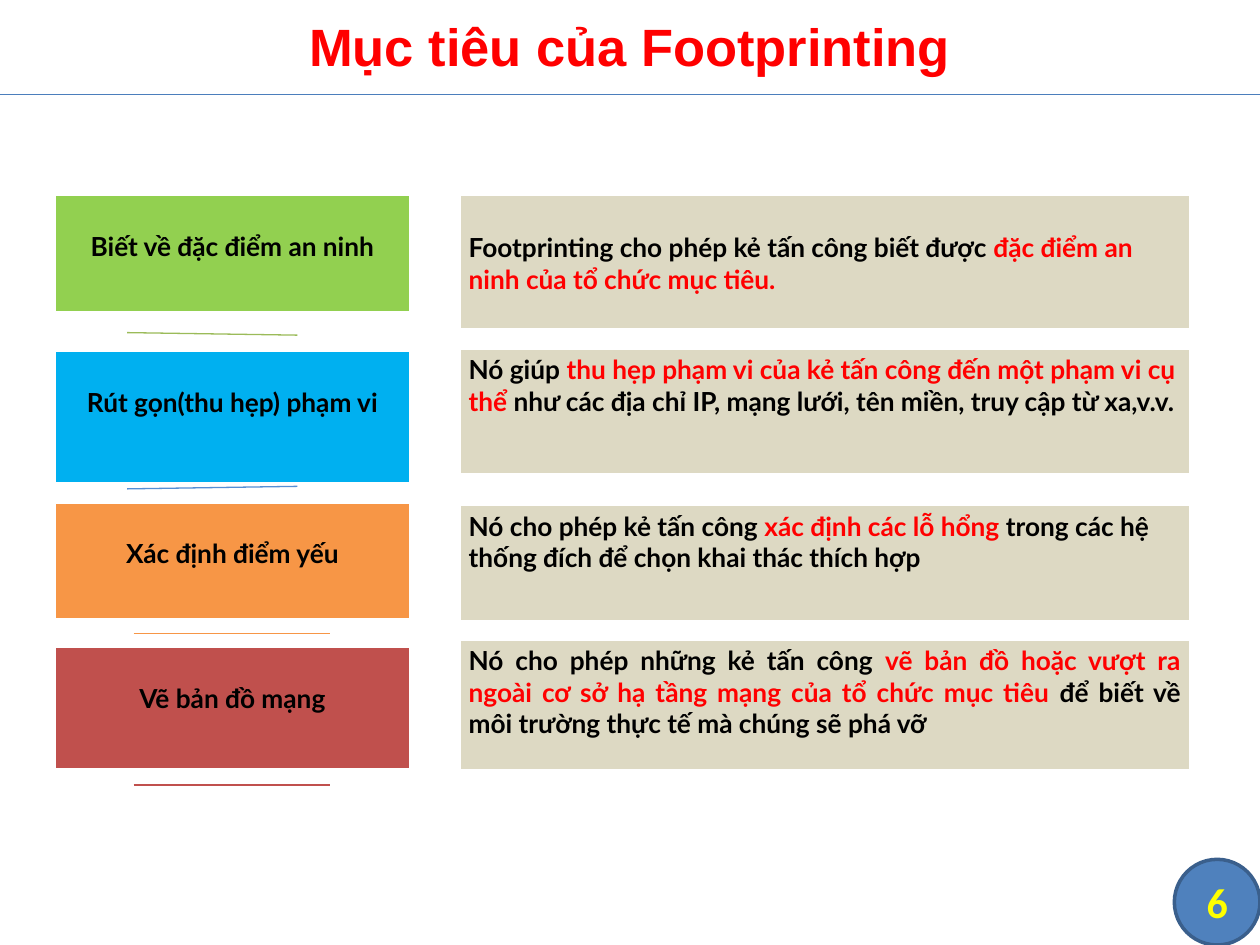
from dataclasses import dataclass

from lxml.etree import SubElement
from pptx import Presentation
from pptx.dml.color import RGBColor
from pptx.enum.shapes import MSO_CONNECTOR, MSO_SHAPE
from pptx.enum.text import MSO_ANCHOR, PP_ALIGN
from pptx.oxml import parse_xml
from pptx.oxml.ns import nsdecls, qn
from pptx.util import Inches, Pt


@dataclass(frozen=True)
class Theme:
    """Colours, fonts and type sizes of the deck."""
    ink: str = "000000"
    accent: str = "FF0000"
    panel: str = "DDD9C3"
    edge: str = "FFFFFF"
    rule: str = "4B7EBC"
    badge: str = "4F81BD"
    badge_edge: str = "3A5F8C"
    badge_ink: str = "FFFF00"
    title_font: str = "Arial"
    body_font: str = "Lato"
    badge_font: str = "Calibri"
    title_size: int = 30
    body_size: int = 15
    badge_size: int = 24


class GoalSlide:
    """Draws elements on a grid of 100 columns by 75 rows."""

    def __init__(self, deck, theme):
        """Add a blank slide to the deck."""
        self.theme = theme
        self.column = deck.slide_width / 100
        self.row = deck.slide_height / 75
        self.shapes = deck.slides.add_slide(deck.slide_layouts[6]).shapes

    def place(self, left, top, width, height):
        """Turn grid units into slide lengths."""
        return (round(left * self.column), round(top * self.row),
                round(width * self.column), round(height * self.row))

    def set_text(self, paragraph, runs, font, size, align):
        """Fill a paragraph with (text, colour) runs."""
        paragraph.alignment = align
        paragraph.font.name = font
        paragraph.font.size = Pt(size)
        paragraph.font.bold = True
        for text, colour in runs:
            run = paragraph.add_run()
            run.text = text
            run.font.color.rgb = RGBColor.from_string(colour)

    def title(self, text):
        """Add the heading across the top."""
        frame = self.shapes.add_textbox(*self.place(0, -0.3, 100, 7.8)).text_frame
        frame.word_wrap = True
        frame.vertical_anchor = MSO_ANCHOR.MIDDLE
        self.set_text(frame.paragraphs[0], [(text, self.theme.accent)],
                      self.theme.title_font, self.theme.title_size, PP_ALIGN.CENTER)

    def badge(self, number):
        """Add the round page number in the corner."""
        circle = self.shapes.add_shape(MSO_SHAPE.FLOWCHART_CONNECTOR,
                                       *self.place(93.2, 68.2, 6.8, 6.8))
        circle.shadow.inherit = False
        circle.fill.solid()
        circle.fill.fore_color.rgb = RGBColor.from_string(self.theme.badge)
        circle.line.color.rgb = RGBColor.from_string(self.theme.badge_edge)
        circle.line.width = Pt(2)
        frame = circle.text_frame
        frame.margin_left = frame.margin_right = frame.margin_top = frame.margin_bottom = 0
        frame.vertical_anchor = MSO_ANCHOR.MIDDLE
        self.set_text(frame.paragraphs[0], [(number, self.theme.badge_ink)],
                      self.theme.badge_font, self.theme.badge_size, PP_ALIGN.CENTER)

    def rule(self, start, end, colour):
        """Add a thin straight line between two grid points."""
        line = self.shapes.add_connector(MSO_CONNECTOR.STRAIGHT, *self.place(*start, *end))
        line.line.color.rgb = RGBColor.from_string(colour)
        line.line.width = Pt(0.75)
        SubElement(line._element.spPr, qn("a:effectLst"))

    def panel(self, box, fill, runs, align, drop=0.04):
        """Add a one-cell table whose text starts drop inches down."""
        table = self.shapes.add_table(1, 1, *self.place(*box)).table
        table.first_row = table.horz_banding = False
        cell = table.cell(0, 0)
        cell.margin_left = cell.margin_right = Inches(0.07)
        cell.margin_top, cell.margin_bottom = Inches(drop), Inches(0.04)
        properties = cell._tc.get_or_add_tcPr()
        for side, points in (("L", 1), ("R", 1), ("T", 1), ("B", 3)):
            properties.append(parse_xml(
                f'<a:ln{side} {nsdecls("a")} w="{Pt(points)}"><a:solidFill>'
                f'<a:srgbClr val="{self.theme.edge}"/></a:solidFill></a:ln{side}>'))
        cell.fill.solid()
        cell.fill.fore_color.rgb = RGBColor.from_string(fill)
        self.set_text(cell.text_frame.paragraphs[0], runs,
                      self.theme.body_font, self.theme.body_size, align)

    def goal(self, name, fill, name_span, details, detail_span, align, drop):
        """Add a goal's coloured name and its explanation beside it."""
        self.panel((4.4, name_span[0], 28.1, name_span[1]), fill,
                   [(name, self.theme.ink)], PP_ALIGN.CENTER, 0.28)
        colours = (self.theme.ink, self.theme.accent, self.theme.ink)
        self.panel((36.5, detail_span[0], 57.9, detail_span[1]), self.theme.panel,
                   zip(details, colours), align, drop)


GOALS = [
    ("Biết về đặc điểm an ninh", "92D050", (15.5, 9.4),
     ("Footprinting cho phép kẻ tấn công biết được ",
      "đặc điểm an ninh của tổ chức mục tiêu."),
     (15.5, 10.7), PP_ALIGN.LEFT, 0.29),
    ("Rút gọn(thu hẹp) phạm vi", "00B0F0", (27.9, 10.5),
     ("Nó giúp ", "thu hẹp phạm vi của kẻ tấn công đến một phạm vi cụ thể ",
      "như các địa chỉ IP, mạng lưới, tên miền, truy cập từ xa,v.v."),
     (27.7, 10), PP_ALIGN.LEFT, 0.04),
    ("Xác định điểm yếu", "F79646", (39.9, 9.3),
     ("Nó cho phép kẻ tấn công ", "xác định các lỗ hổng ",
      "trong các hệ thống đích để chọn khai thác thích hợp"),
     (40.1, 9.3), PP_ALIGN.LEFT, 0.04),
    ("Vẽ bản đồ mạng", "C0504D", (51.4, 9.7),
     ("Nó cho phép những kẻ tấn công ",
      "vẽ bản đồ hoặc vượt ra ngoài cơ sở hạ tầng mạng của tổ chức mục tiêu ",
      "để biết về môi trường thực tế mà chúng sẽ phá vỡ"),
     (50.8, 10.4), PP_ALIGN.JUSTIFY, 0.04),
]

DIVIDERS = [
    ((10.1, 26.4), (23.6, 26.6), "9BBB59"),
    ((10.1, 38.8), (23.6, 38.6), "558ED5"),
    ((10.6, 50.3), (26.2, 50.3), "F79646"),
    ((10.6, 62.3), (26.2, 62.3), "C0504D"),
]


def main():
    """Build and save the slide."""
    deck = Presentation()
    deck.slide_width, deck.slide_height = Inches(10), Inches(7.5)
    theme = Theme()
    slide = GoalSlide(deck, theme)
    slide.badge("6")
    slide.rule((0, 7.5), (100, 7.5), theme.rule)
    slide.title("Mục tiêu của Footprinting")
    for goal in GOALS:
        slide.goal(*goal)
    for divider in DIVIDERS:
        slide.rule(*divider)
    deck.save("out.pptx")


if __name__ == "__main__":
    main()
